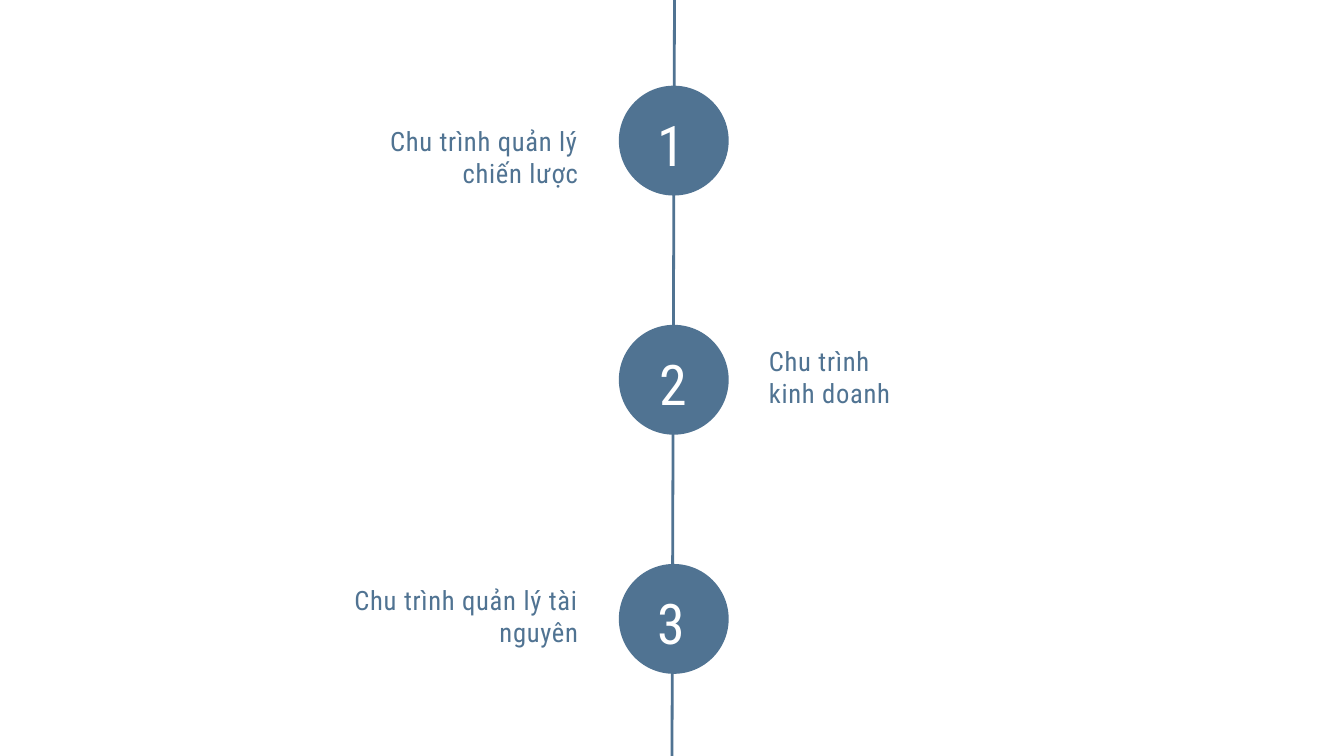
"""Build a vertical timeline of three numbered management cycles."""
from lxml import etree
from pptx import Presentation, util as u
from pptx.dml.color import RGBColor
from pptx.enum import shapes, text
from pptx.oxml.ns import qn

COLORS = {"blue": "507392", "white": "FFFFFF"}
FONT = "Roboto Condensed"
WIDTH, HEIGHT = 26.67, 15
CYCLES = [
    {"label": ["Chu trình quản lý chiến lược"], "side": "left",
     "label_drop": 0.73, "number_left": 12.91},
    {"label": ["Chu trình", "kinh doanh"], "side": "right",
     "label_drop": 0.35, "number_left": 12.95},
    {"label": ["Chu trình quản lý tài nguyên"], "side": "left",
     "label_drop": 0.34, "number_left": 12.91},
]
DIAMETER, CIRCLE_LEFT = 2.18, 12.28
FIRST_TOP, STEP = 1.7, 4.745
LABEL_LEFT = {"left": 6.57, "right": 15.16}
LABEL_ALIGN = {"left": text.PP_ALIGN.RIGHT, "right": text.PP_ALIGN.LEFT}


def color(name):
    return RGBColor.from_string(COLORS[name])


def add_text(slide, lines, box, size, color_name, align):
    shape = slide.shapes.add_textbox(*map(u.Inches, box))
    frame = shape.text_frame
    frame.word_wrap = True
    frame.auto_size = text.MSO_AUTO_SIZE.SHAPE_TO_FIT_TEXT
    frame.text = "\n".join(lines)
    for paragraph in frame.paragraphs:
        paragraph.alignment = align
        paragraph.font.name = FONT
        paragraph.font.size = u.Pt(size)
        paragraph.font.color.rgb = color(color_name)
        for run in paragraph.runs:
            run._r.get_or_add_rPr().set("spc", "100")


def add_axis(slide):
    points = map(u.Inches, (WIDTH / 2, HEIGHT, WIDTH / 2 + 0.05, 0))
    axis = slide.shapes.add_connector(shapes.MSO_CONNECTOR.STRAIGHT, *points)
    axis.line.color.rgb = color("blue")
    axis.line.width = u.Pt(4)
    etree.SubElement(axis._element.spPr, qn("a:effectLst"))


def add_cycle(slide, index, cycle):
    top = FIRST_TOP + index * STEP
    circle = slide.shapes.add_shape(
        shapes.MSO_SHAPE.OVAL,
        *map(u.Inches, (CIRCLE_LEFT, top, DIAMETER, DIAMETER)))
    circle.shadow.inherit = False
    circle.fill.solid()
    circle.fill.fore_color.rgb = color("blue")
    circle.line.fill.background()
    add_text(slide, [str(index + 1)], (cycle["number_left"], top + 0.44, 0.83, 1.45),
             80, "white", text.PP_ALIGN.CENTER)
    side = cycle["side"]
    add_text(slide, cycle["label"], (LABEL_LEFT[side], top + cycle["label_drop"], 5, 1.38),
             38, "blue", LABEL_ALIGN[side])


def main():
    presentation = Presentation()
    presentation.slide_width = u.Inches(WIDTH)
    presentation.slide_height = u.Inches(HEIGHT)
    slide = presentation.slides.add_slide(presentation.slide_layouts[6])
    slide.background.fill.solid()
    slide.background.fill.fore_color.rgb = color("white")
    add_axis(slide)
    for index, cycle in enumerate(CYCLES):
        add_cycle(slide, index, cycle)
    presentation.save("out.pptx")


if __name__ == "__main__":
    main()
